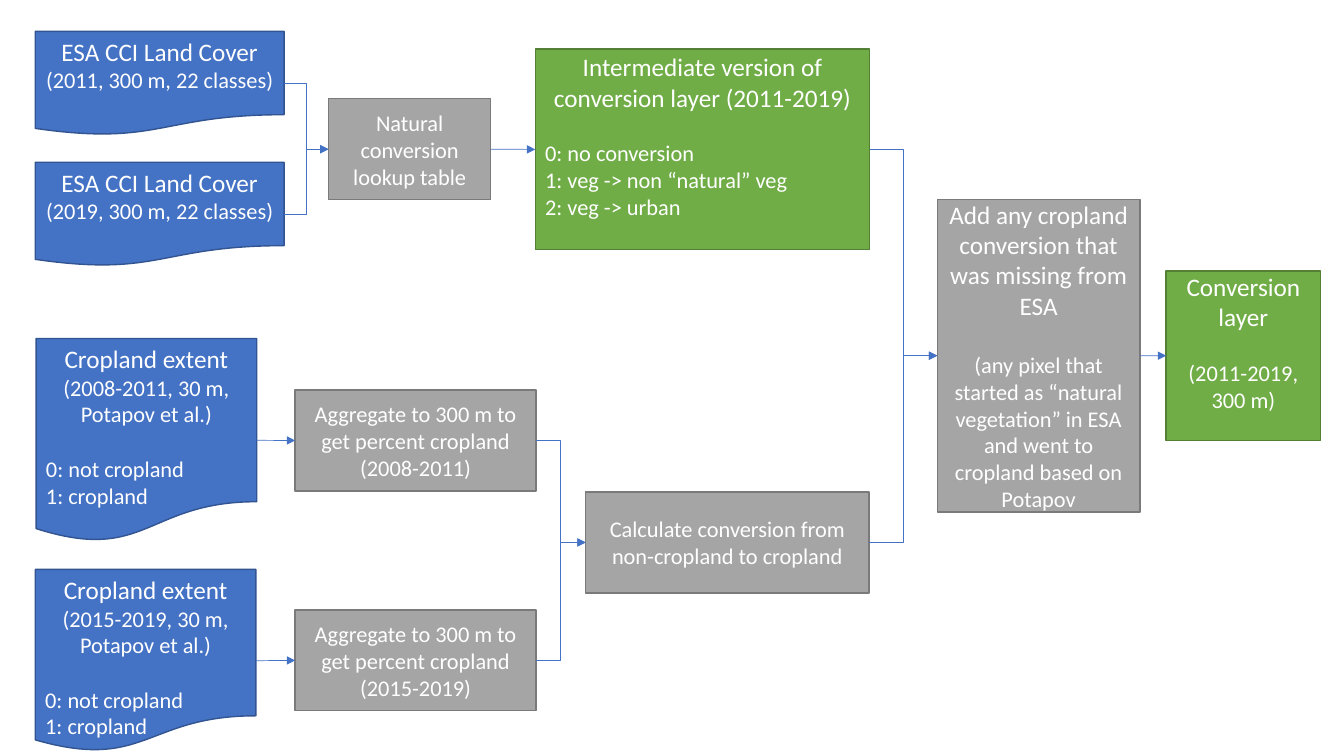
from lxml.etree import SubElement
from pptx import Presentation
from pptx.dml.color import RGBColor
from pptx.enum.shapes import MSO_CONNECTOR as LINK, MSO_SHAPE as SHAPE
from pptx.enum.text import MSO_ANCHOR as ANCHOR, PP_ALIGN as ALIGN
from pptx.oxml.ns import qn
from pptx.util import Cm, Pt

WHITE = RGBColor(0xFF, 0xFF, 0xFF)
BLUE, DARK_BLUE = RGBColor(0x44, 0x72, 0xC4), RGBColor(0x32, 0x54, 0x91)
GRAY, DARK_GRAY = RGBColor(0xA5, 0xA5, 0xA5), RGBColor(0x7A, 0x7A, 0x7A)
GREEN, DARK_GREEN = RGBColor(0x70, 0xAD, 0x47), RGBColor(0x53, 0x80, 0x35)

# Kind of step: preset shape, fill, outline, text anchor
SOURCE = (SHAPE.FLOWCHART_DOCUMENT, BLUE, DARK_BLUE, ANCHOR.TOP)
PROCESS = (SHAPE.RECTANGLE, GRAY, DARK_GRAY, ANCHOR.MIDDLE)
RESULT = (SHAPE.RECTANGLE, GREEN, DARK_GREEN, ANCHOR.MIDDLE)

HEADING, BODY = 18, 16
LINE_HEIGHT = 1.22  # of the font size
LEFT_SIDE, RIGHT_SIDE = 1, 3  # connection sites

prs = Presentation()
prs.slide_width, prs.slide_height = Cm(33.87), Cm(19.05)
slide = prs.slides.add_slide(prs.slide_layouts[6])


def add_step(kind, left, top, width, height, lines):
    """Each line: text, size, alignment, size of the empty line above it."""
    preset, fill, outline, anchor = kind
    step = slide.shapes.add_shape(preset, Cm(left), Cm(top), Cm(width), Cm(height))
    step.shadow.inherit = False
    step.fill.solid()
    step.fill.fore_color.rgb = fill
    step.line.color.rgb = outline
    step.line.width = Pt(1)
    frame = step.text_frame
    frame.word_wrap = True
    frame.vertical_anchor = anchor
    for number, (text, size, align, gap) in enumerate(lines):
        paragraph = frame.add_paragraph() if number else frame.paragraphs[0]
        paragraph.text = text
        paragraph.alignment = align
        paragraph.space_before = Pt(gap * LINE_HEIGHT)
        paragraph.font.size = Pt(size)
        paragraph.font.name = "Calibri"
        paragraph.font.color.rgb = WHITE
    return step


def add_arrow(start, end):
    start_y = start.top + start.height // 2
    end_y = end.top + end.height // 2
    level = abs(start_y - end_y) < Cm(0.1)
    arrow = slide.shapes.add_connector(
        LINK.STRAIGHT if level else LINK.ELBOW,
        start.left + start.width, start_y, end.left, end_y)
    arrow.begin_connect(start, RIGHT_SIDE)
    arrow.end_connect(end, LEFT_SIDE)
    arrow.line.color.rgb = BLUE
    arrow.line.width = Pt(0.5)
    SubElement(arrow.line._get_or_add_ln(), qn("a:tailEnd"), type="triangle")
    SubElement(arrow._element.spPr, qn("a:effectLst"))


# Land cover branch
lookup = add_step(PROCESS, 8.28, 2.49, 4.09, 2.54, [
    ("Natural conversion lookup table", BODY, ALIGN.CENTER, 0)])
intermediate = add_step(RESULT, 13.49, 1.24, 8.43, 5.05, [
    ("Intermediate version of conversion layer (2011-2019)", HEADING, ALIGN.CENTER, 0),
    ("0: no conversion", BODY, ALIGN.LEFT, BODY),
    ("1: veg -> non “natural” veg", BODY, ALIGN.LEFT, 0),
    ("2: veg -> urban", BODY, ALIGN.LEFT, 0)])
for year, top in (("2011", 0.79), ("2019", 4.09)):
    land_cover = add_step(SOURCE, 0.89, top, 6.27, 2.62, [
        ("ESA CCI Land Cover", HEADING, ALIGN.CENTER, 0),
        (f"({year}, 300 m, 22 classes)", BODY, ALIGN.CENTER, 0)])
    add_arrow(land_cover, lookup)
add_arrow(lookup, intermediate)

# Cropland branch
cropland_change = add_step(PROCESS, 14.76, 12.4, 7.14, 2.54, [
    ("Calculate conversion from non-cropland to cropland", BODY, ALIGN.CENTER, 0)])
for years, left, top, height, aggregate_top in (
        ("2008-2011", 0.91, 8.53, 5.13, 9.83),
        ("2015-2019", 0.89, 14.35, 4.6, 15.37)):
    extent = add_step(SOURCE, left, top, 5.56, height, [
        ("Cropland extent", HEADING, ALIGN.CENTER, 0),
        (f"({years}, 30 m, Potapov et al.)", BODY, ALIGN.CENTER, 0),
        ("0: not cropland", BODY, ALIGN.LEFT, BODY),
        ("1: cropland", BODY, ALIGN.LEFT, 0)])
    aggregate = add_step(PROCESS, 7.44, aggregate_top, 6.07, 2.54, [
        ("Aggregate to 300 m to get percent cropland", BODY, ALIGN.CENTER, 0),
        (f"({years})", BODY, ALIGN.CENTER, 0)])
    add_arrow(extent, aggregate)
    add_arrow(aggregate, cropland_change)

# Both branches merge into the final layer
merge = add_step(PROCESS, 23.62, 5.03, 5.11, 7.87, [
    ("Add any cropland conversion that was missing from ESA", HEADING, ALIGN.CENTER, 0),
    ("(any pixel that started as “natural vegetation” in ESA and went to "
     "cropland based on Potapov", BODY, ALIGN.CENTER, HEADING)])
conversion = add_step(RESULT, 29.39, 6.83, 3.89, 4.27, [
    ("Conversion layer", HEADING, ALIGN.CENTER, 0),
    ("(2011-2019, 300 m)", BODY, ALIGN.CENTER, BODY)])
add_arrow(intermediate, merge)
add_arrow(cropland_change, merge)
add_arrow(merge, conversion)

# The green boxes keep one line free below their text
for layer in (intermediate, conversion):
    layer.text_frame.margin_bottom = Cm(0.81)

prs.save("out.pptx")
